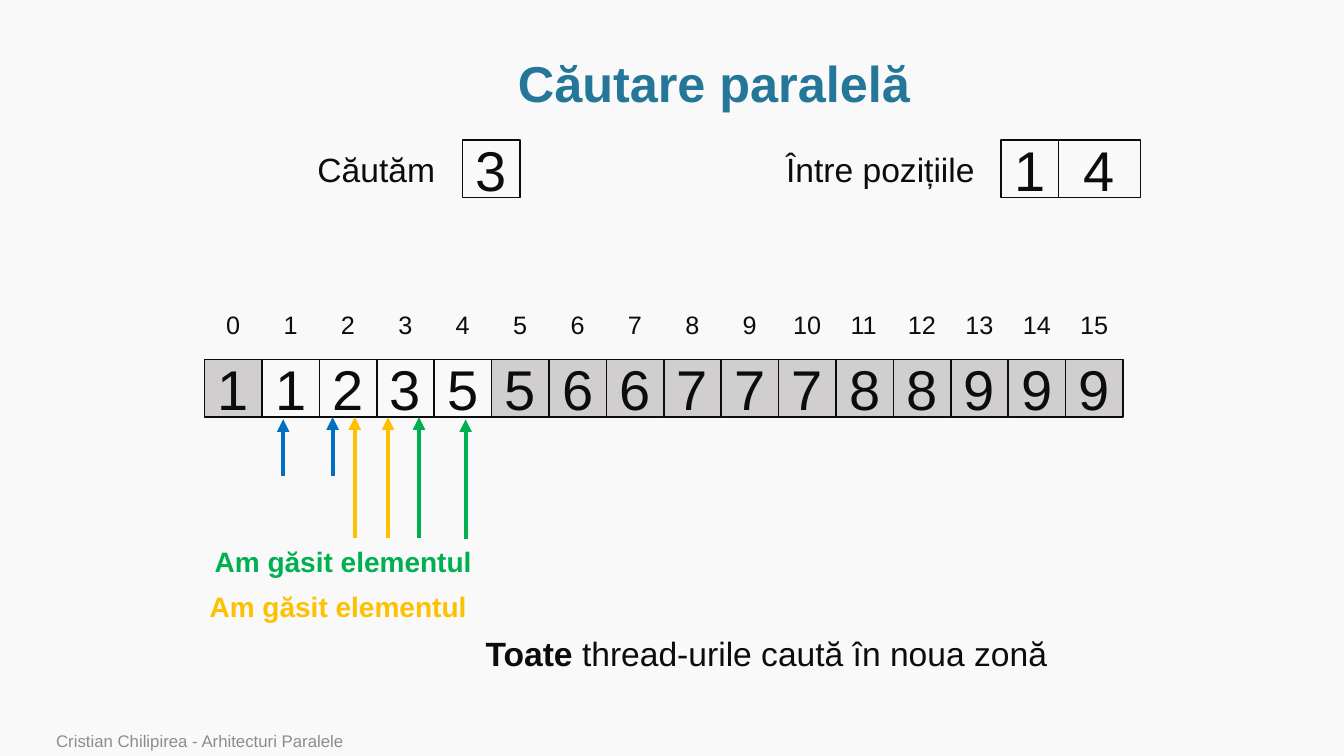
from lxml.etree import SubElement
from pptx import Presentation
from pptx.dml.color import RGBColor
from pptx.enum.shapes import MSO_CONNECTOR, MSO_SHAPE
from pptx.enum.text import MSO_ANCHOR, MSO_AUTO_SIZE, PP_ALIGN
from pptx.oxml.ns import qn
from pptx.util import Pt

PAPER = RGBColor(0xF9, 0xF9, 0xF9)
INK = RGBColor(0x0C, 0x0C, 0x0C)
TEAL = RGBColor(0x24, 0x77, 0x98)
GREY = RGBColor(0xD0, 0xCE, 0xCE)
FOOTER_GREY = RGBColor(0x8C, 0x8C, 0x8C)
BLUE = RGBColor(0x00, 0x70, 0xC0)
AMBER = RGBColor(0xFF, 0xC0, 0x00)
GREEN = RGBColor(0x00, 0xB0, 0x50)

CELL = 41
ARRAY_LEFT = 146.2
ARRAY_TOP = 257
SEARCH_TOP = 100
VALUES = [1, 1, 2, 3, 5, 5, 6, 6, 7, 7, 7, 8, 8, 9, 9, 9]
ZONE_START, ZONE_END = 1, 4

deck = Presentation()
deck.slide_width, deck.slide_height = Pt(960), Pt(540)
slide = deck.slides.add_slide(deck.slide_layouts[6])
slide.background.fill.solid()
slide.background.fill.fore_color.rgb = PAPER


def write(shape, runs, size, color, align=PP_ALIGN.LEFT, **frame_format):
    for name, value in frame_format.items():
        setattr(shape.text_frame, name, value)
    paragraph = shape.text_frame.paragraphs[0]
    paragraph.alignment = align
    for text, bold in runs:
        run = paragraph.add_run()
        run.text = text
        font_format = {"name": "Arial", "size": Pt(size), "bold": bold}
        for name, value in font_format.items():
            setattr(run.font, name, value)
        run.font.color.rgb = color
    return paragraph


def add_label(left, top, width, height, runs, size, color):
    label = slide.shapes.add_textbox(Pt(left), Pt(top), Pt(width), Pt(height))
    write(label, runs, size, color, word_wrap=False,
          auto_size=MSO_AUTO_SIZE.SHAPE_TO_FIT_TEXT)


title = slide.shapes.add_textbox(Pt(82), Pt(36.7), Pt(856), Pt(49.7))
title_line = write(title, [("Căutare paralelă", True)], 36, TEAL, PP_ALIGN.CENTER,
                   word_wrap=True, vertical_anchor=MSO_ANCHOR.MIDDLE)
title_line.line_spacing = 0.9

cells = [
    (ARRAY_LEFT + i * CELL, ARRAY_TOP, CELL, value, not ZONE_START <= i <= ZONE_END)
    for i, value in enumerate(VALUES)
]
cells += [
    (330.5, SEARCH_TOP, CELL, 3, False),
    (715, SEARCH_TOP, CELL, ZONE_START, False),
    (756, SEARCH_TOP, 58.5, ZONE_END, False),
]
for left, top, width, value, excluded in cells:
    cell = slide.shapes.add_shape(MSO_SHAPE.RECTANGLE, Pt(left), Pt(top), Pt(width), Pt(CELL))
    cell.shadow.inherit = False
    if excluded:
        cell.fill.solid()
        cell.fill.fore_color.rgb = GREY
    else:
        cell.fill.background()
    cell.line.color.rgb = INK
    cell.line.width = Pt(1)
    write(cell, [(str(value), False)], 40, INK, PP_ALIGN.CENTER,
          vertical_anchor=MSO_ANCHOR.MIDDLE)

for i in range(len(VALUES)):
    index_width = 24.5 if i < 10 else 34.5
    index_left = ARRAY_LEFT + i * CELL + (CELL - index_width) / 2
    add_label(index_left, 217.5, index_width, 29, [(str(i), False)], 18, INK)

thread_bounds = [
    (202.3, 340, 299.5, BLUE),
    (237.6, 340, 298, BLUE),
    (253.4, 384, 298, AMBER),
    (277.2, 384, 298, AMBER),
    (299.3, 384, 298, GREEN),
    (332.6, 385, 299.5, GREEN),
]
for x, tail_y, head_y, color in thread_bounds:
    arrow = slide.shapes.add_connector(
        MSO_CONNECTOR.STRAIGHT, Pt(x), Pt(tail_y), Pt(x), Pt(head_y))
    arrow.line.color.rgb = color
    arrow.line.width = Pt(3)
    SubElement(arrow.line._get_or_add_ln(), qn("a:tailEnd"), type="triangle")
    SubElement(arrow._element.spPr, qn("a:effectLst"))

found = [("Am găsit elementul", True)]
add_label(146.2, 385.5, 199.5, 31.5, found, 20, GREEN)
add_label(142.6, 417.5, 199.5, 31.5, found, 20, AMBER)

add_label(219.6, 102.5, 99.4, 36, [("Căutăm", False)], 24, INK)
add_label(554.4, 102.5, 150.5, 36, [("Între pozițiile", False)], 24, INK)
add_label(339.8, 448.8, 419.8, 36,
          [("Toate ", True), ("thread-urile caută în noua zonă", False)], 24, INK)

footer = slide.shapes.add_textbox(Pt(33), Pt(520), Pt(707), Pt(20))
write(footer, [("Cristian Chilipirea - Arhitecturi Paralele", False)], 12, FOOTER_GREY,
      word_wrap=True, vertical_anchor=MSO_ANCHOR.BOTTOM)

deck.save("out.pptx")
